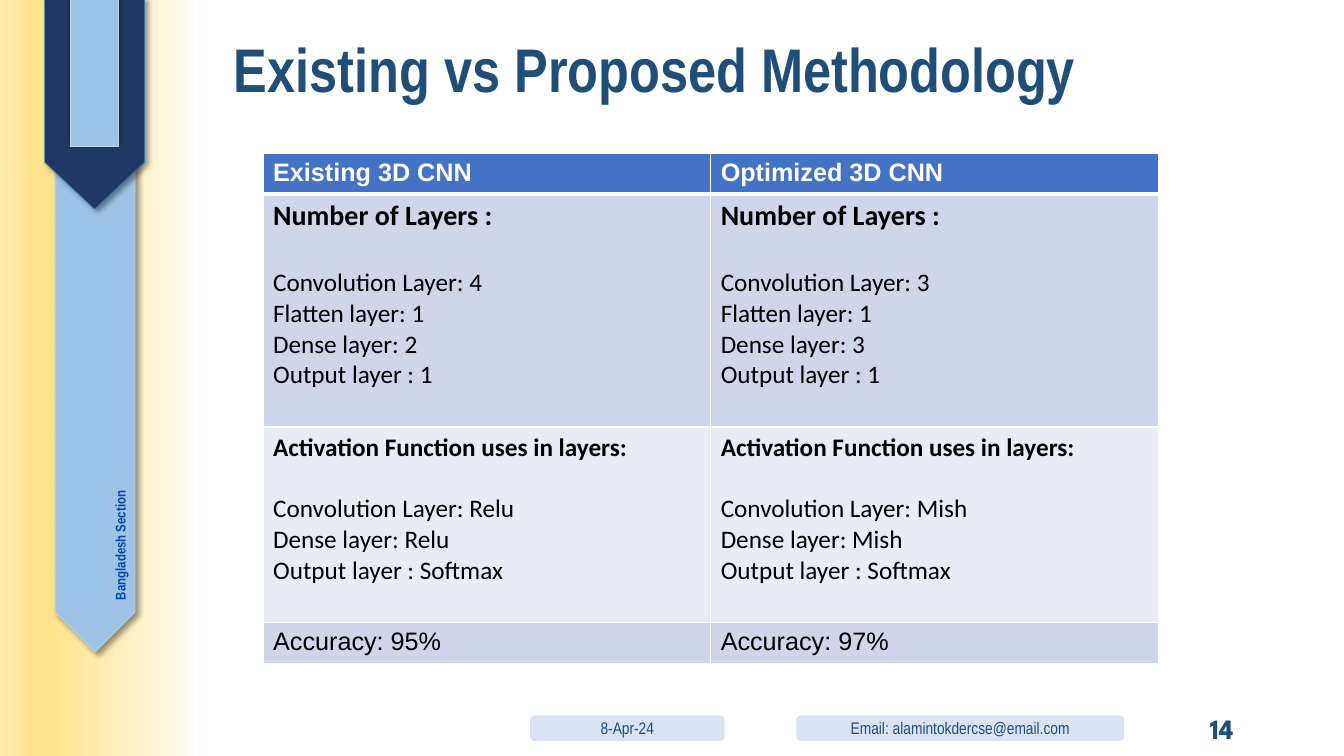
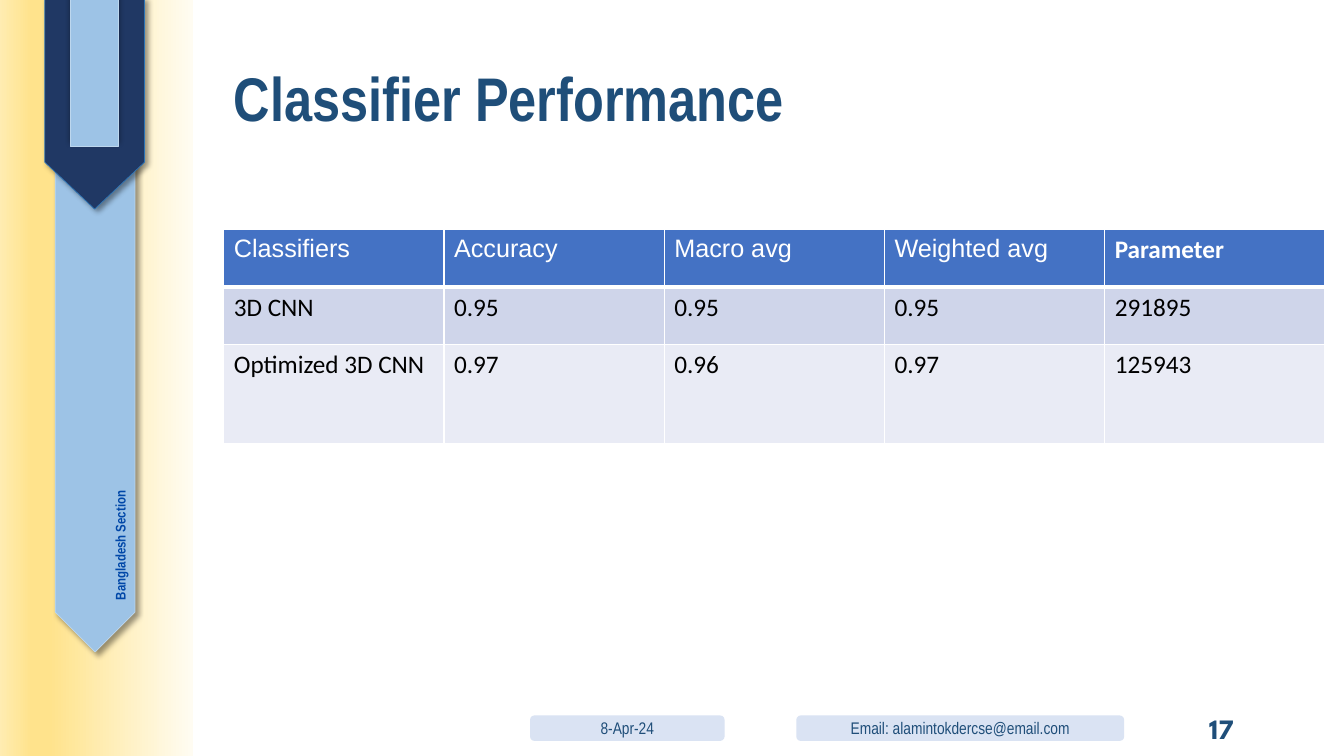
from lxml import etree
from pptx import Presentation, oxml
from pptx.dml.color import RGBColor
from pptx.enum import shapes, text
from pptx.oxml import ns
from pptx.util import Cm, Pt

NAVY, BLUE, SKY, PALE = "1F4E79", "4472C4", "9DC3E6", "DAE3F3"
WHITE, BLACK = "FFFFFF", "000000"
BODY_FILLS = ["E9EBF5", "CFD5EA"]
NARROW = "Arial Narrow"
BAND_STOPS = [(0, "FFECB2"), (17, "FFE38C"), (26, "FFE38C"), (100, "FFFCF2")]


def style(paragraph, size, name, color, bold=False):
    font = paragraph.font
    font.size, font.name, font.bold = Pt(size), name, bold
    font.color.rgb = RGBColor.from_string(color)


def add_grid(slide, left, top, col_width, heights, rows):
    grid = slide.shapes.add_table(len(rows), len(rows[0]), Cm(left), Cm(top),
                                  Cm(col_width * len(rows[0])), Cm(sum(heights))).table
    for column in grid.columns:
        column.width = Cm(col_width)
    for r, (height, row) in enumerate(zip(heights, rows)):
        grid.rows[r].height = Cm(height)
        for c, words in enumerate(row):
            cell = grid.cell(r, c)
            cell.text = words
            for paragraph in cell.text_frame.paragraphs:
                style(paragraph, 18, "Calibri", BLACK if r else WHITE)
            # White borders, thicker under the header
            borders = cell._tc.get_or_add_tcPr()
            for side in "LRTB":
                thick = (r, side) in [(0, "B"), (1, "T")]
                line = etree.SubElement(borders, ns.qn(f"a:ln{side}"), w=str(Pt(3 if thick else 1)))
                solid = etree.SubElement(line, ns.qn("a:solidFill"))
                etree.SubElement(solid, ns.qn("a:srgbClr"), val=WHITE)
            cell.fill.solid()
            cell.fill.fore_color.rgb = RGBColor.from_string(BODY_FILLS[r % 2] if r else BLUE)
    return grid


prs = Presentation()
prs.slide_width, prs.slide_height = Cm(33.87), Cm(19.05)

# Parts that both slides share
pages = []
for heading, title_top, number in [("Existing vs Proposed Methodology", 0.3, "14"),
                                   ("Classifier Performance", 1.02, "17")]:
    slide = prs.slides.add_slide(prs.slide_layouts[5])
    pages.append(slide)

    # Yellow band
    band = slide.shapes.add_shape(shapes.MSO_SHAPE.RECTANGLE, Cm(-0.03), Cm(-0.05), Cm(4.9), Cm(19.18))
    band.shadow.inherit = False
    band.line.fill.background()
    band.fill.gradient()
    band.fill.gradient_angle = 0
    stops = band._element.spPr.find(ns.qn("a:gradFill")).find(ns.qn("a:gsLst"))
    for stop in list(stops):
        stops.remove(stop)
    for position, color in BAND_STOPS:
        stop = etree.SubElement(stops, ns.qn("a:gs"), pos=str(position * 1000))
        etree.SubElement(stop, ns.qn("a:srgbClr"), val=color)

    # Hanging ribbon: tail, head and inset
    for left, top, width, height, point, fill, edge, angle in [
            (-5.82, 7.21, 16.43, 2.01, 0.5, SKY, "BDD7EE", 45),
            (-0.28, 1.35, 5.33, 2.51, 0.47, "203864", "2E75B6", 45),
            (0.51, 1.22, 3.73, 1.22, 0, SKY, "BDD7EE", 270)]:
        ribbon = slide.shapes.add_shape(shapes.MSO_SHAPE.PENTAGON, Cm(left), Cm(top), Cm(width), Cm(height))
        ribbon.rotation = 90
        ribbon.adjustments[0] = point
        ribbon.fill.solid()
        ribbon.fill.fore_color.rgb = RGBColor.from_string(fill)
        ribbon.line.color.rgb = RGBColor.from_string(edge)
        ribbon.line.width = Pt(0.5)
        ribbon._element.spPr.append(oxml.parse_xml(
            f'<a:effectLst {ns.nsdecls("a")}><a:outerShdw blurRad="{Pt(4)}" dist="{Pt(3)}" '
            f'dir="{angle * 60000}" algn="ctr" rotWithShape="0"><a:srgbClr val="{BLACK}">'
            '<a:alpha val="40000"/></a:srgbClr></a:outerShdw></a:effectLst>'))

    section = slide.shapes.add_textbox(Cm(0.81), Cm(12.78), Cm(4.47), Cm(0.71))
    section.rotation = 270
    section.text_frame.word_wrap = True
    section.text_frame.text = "Bangladesh Section"
    style(section.text_frame.paragraphs[0], 10, NARROW, "0047A8", True)

    # Title
    title = slide.shapes.title
    title.left, title.top, title.width, title.height = Cm(5.64), Cm(title_top), Cm(27.23), Cm(3.07)
    title.text_frame.text = heading
    title.text_frame.auto_size = text.MSO_AUTO_SIZE.NONE
    title.text_frame.vertical_anchor = text.MSO_ANCHOR.MIDDLE
    title_line = title.text_frame.paragraphs[0]
    title_line.alignment = text.PP_ALIGN.LEFT
    title_line.line_spacing = 0.9
    style(title_line, 44, NARROW, NAVY, True)

    # Footer
    page_number = slide.shapes.add_textbox(Cm(23.72), Cm(18.03), Cm(7.62), Cm(0.64))
    page_number.text_frame.word_wrap = True
    page_number.text_frame.vertical_anchor = text.MSO_ANCHOR.MIDDLE
    page_number.text_frame.text = number
    page_number.text_frame.paragraphs[0].alignment = text.PP_ALIGN.RIGHT
    style(page_number.text_frame.paragraphs[0], 20, "League Spartan", NAVY, True)
    for left, width, words in [(13.36, 4.9, "8-Apr-24"),
                               (20.07, 8.26, "Email: alamintokdercse@email.com")]:
        pill = slide.shapes.add_shape(shapes.MSO_SHAPE.ROUNDED_RECTANGLE, Cm(left), Cm(18.03), Cm(width), Cm(0.64))
        pill.shadow.inherit = False
        pill.fill.solid()
        pill.fill.fore_color.rgb = RGBColor.from_string(PALE)
        pill.line.fill.background()
        pill.text_frame.text = words
        pill.text_frame.vertical_anchor = text.MSO_ANCHOR.MIDDLE
        pill.text_frame.paragraphs[0].alignment = text.PP_ALIGN.CENTER
        style(pill.text_frame.paragraphs[0], 12, NARROW, NAVY)

methodology, performance = pages

# Methodology comparison
layers = "Number of Layers :\nConvolution Layer: {}\nFlatten layer: 1\nDense layer: {}\nOutput layer : 1"
activation = "Activation Function uses in layers:\nConvolution Layer: {0}\nDense layer: {0}\nOutput layer : Softmax"
comparison = add_grid(methodology, 6.63, 3.86, 11.28, [1.03, 5.87, 4.92, 1.03], [
    ["Existing 3D CNN", "Optimized 3D CNN"],
    [layers.format(4, 2), layers.format(3, 3)],
    [activation.format("Relu"), activation.format("Mish")],
    ["Accuracy: 95%", "Accuracy: 97%"]])
for c in range(2):
    style(comparison.cell(0, c).text_frame.paragraphs[0], 18, "Arial", WHITE, True)
    style(comparison.cell(3, c).text_frame.paragraphs[0], 18, "Arial", BLACK)
    for r, size, gap in [(1, 20, 24.4), (2, 18, 22)]:
        lead, first_item = comparison.cell(r, c).text_frame.paragraphs[:2]
        style(lead, size, "Calibri", BLACK, True)
        first_item.space_before = Pt(gap)

# Classifier scores
scores = add_grid(performance, 5.64, 5.79, 5.55, [1.45, 1.45, 2.49], [
    ["Classifiers", "Accuracy", "Macro avg", "Weighted avg", "Parameter"],
    ["3D CNN", "0.95", "0.95", "0.95", "291895"],
    ["Optimized 3D CNN", "0.97", "0.96", "0.97", "125943"]])
for c in range(4):
    style(scores.cell(0, c).text_frame.paragraphs[0], 18, "Arial", WHITE)
scores.cell(0, 4).text_frame.paragraphs[0].font.bold = True

prs.save("out.pptx")
